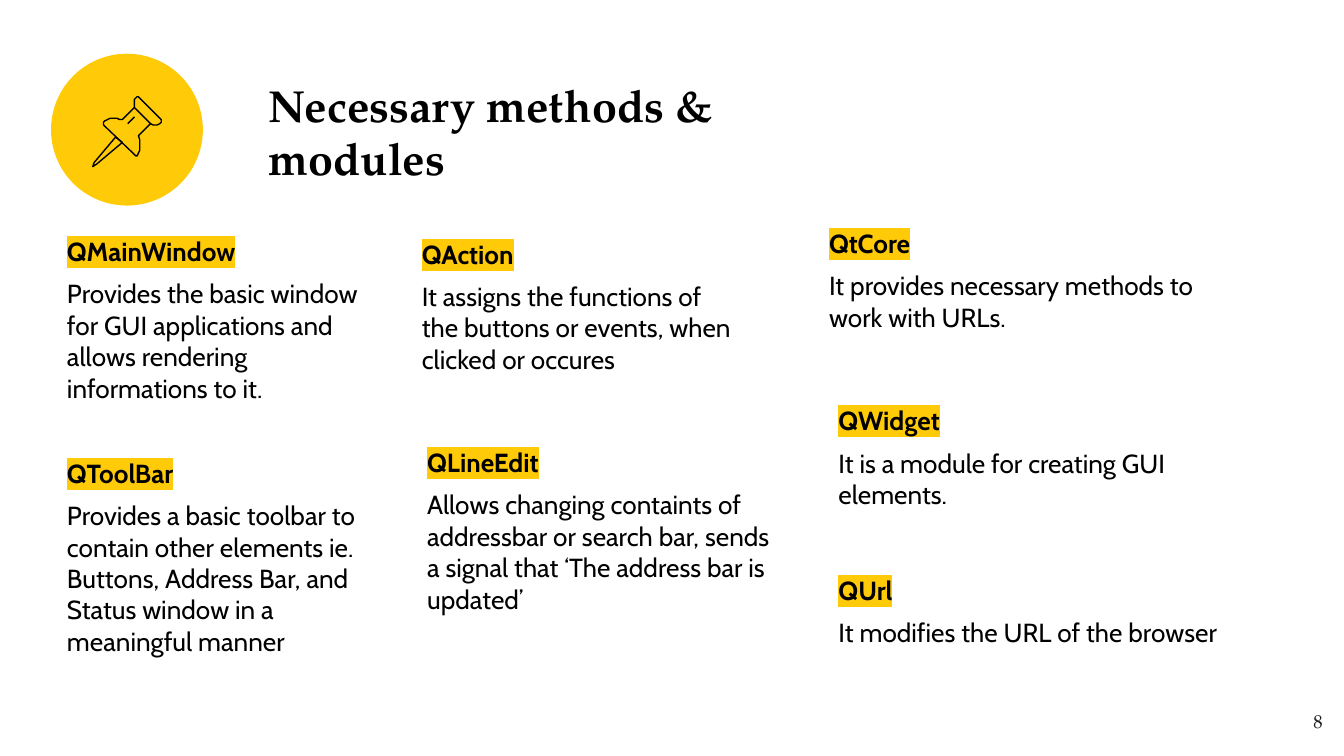
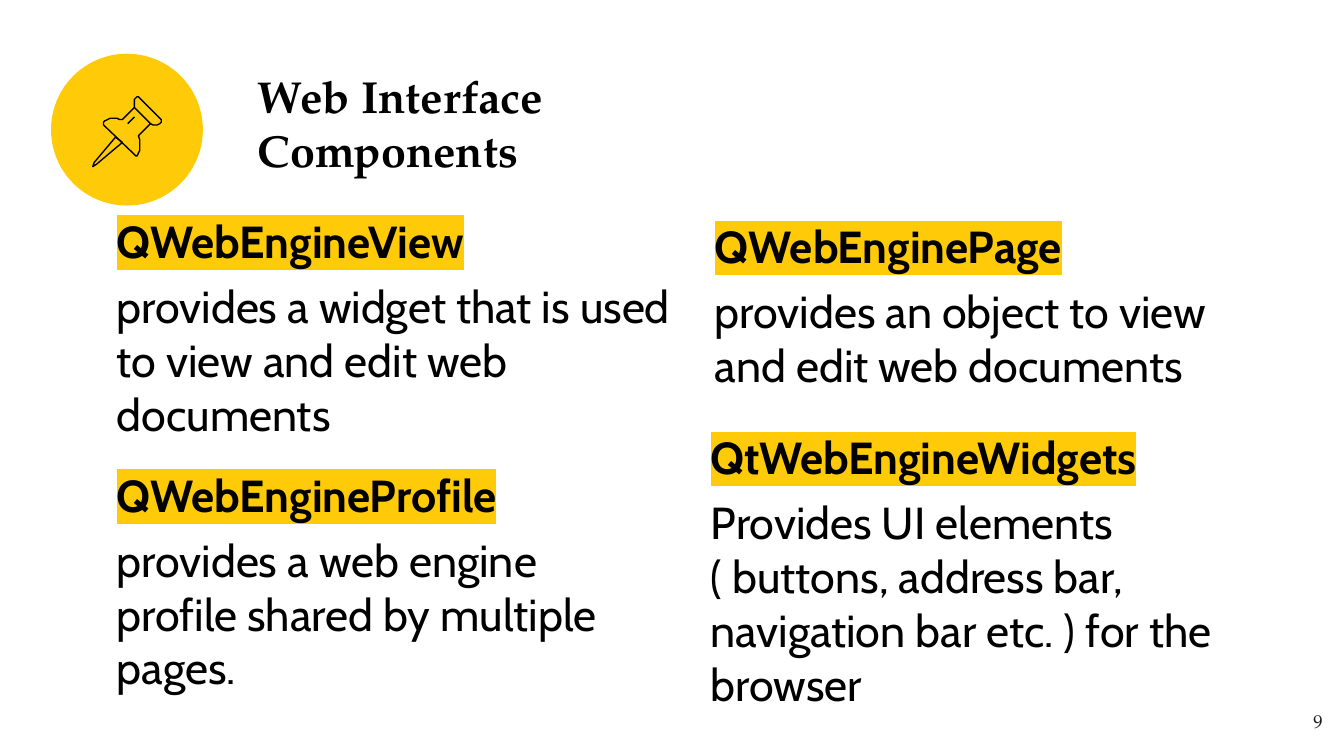
from lxml.etree import SubElement
from pptx import Presentation
from pptx.dml.color import RGBColor
from pptx.enum.shapes import MSO_CONNECTOR, MSO_SHAPE
from pptx.enum.text import MSO_ANCHOR, PP_ALIGN
from pptx.oxml.ns import qn
from pptx.util import Inches, Pt

COLORS = {"accent": "FFCA08", "text": "000000", "number": "1D1D1B"}
TITLE_FONT = "TeX Gyre Pagella"
BODY_FONT = "Cabin"
PIN_LINE = Pt(0.75)

NEEDLE = [(0.86, 1.02), (0.7, 1.21), (0.69, 1.24), (0.72, 1.22), (0.91, 1.06)]
HEAD = [(1, 0.8), (1.12, 0.92), (1.14, 0.93), (1.17, 0.93), (1.19, 0.92),
        (1.2, 0.91), (1.2, 0.89), (1.04, 0.73), (1.03, 0.72), (1.02, 0.72),
        (1.01, 0.73), (1, 0.74), (1, 0.77)]
BODY = [(1, 0.8), (0.91, 0.89), (0.89, 0.89), (0.87, 0.88), (0.82, 0.88),
        (0.8, 0.89), (0.78, 0.9), (0.77, 0.91), (0.77, 0.93), (1, 1.15),
        (1.01, 1.16), (1.02, 1.16), (1.03, 1.14), (1.04, 1.12), (1.04, 1.04),
        (1.03, 1.01), (1.12, 0.92)]
PIN_OUTLINES = [(NEEDLE, True), (HEAD, True), (BODY, False)]

SLIDES = [
    {
        "number": 8,
        "title": "Necessary methods & modules",
        "title_at": (1.9, 0.46),
        "size": 14,
        "entries": [
            ((0.4, 1.65, 2.55, 1.49), "QMainWindow",
             "Provides the basic window for GUI applications and allows rendering informations to it."),
            ((6.14, 2.91, 2.87, 1.12), "QWidget",
             "It is a module for creating GUI elements."),
            ((0.4, 3.3, 2.55, 1.79), "QToolBar",
             "Provides a basic toolbar to contain other elements ie. Buttons, Address Bar, "
             "and Status window in a meaningful manner"),
            ((3.08, 3.22, 2.87, 1.66), "QLineEdit",
             "Allows changing containts of addressbar or search bar, sends a signal that "
             "‘The address bar is updated’"),
            ((3.04, 1.67, 2.55, 1.32), "QAction",
             "It assigns the functions of the buttons or events, when clicked or occures"),
            ((6.14, 4.17, 3.81, 0.92), "QUrl",
             "It modifies the URL of the browser"),
            ((6.07, 1.59, 3.22, 1.11), "QtCore",
             "It provides necessary methods to work with URLs."),
        ],
    },
    {
        "number": 9,
        "title": "Web Interface Components",
        "title_at": (1.82, 0.4),
        "size": 24,
        "entries": [
            ((0.77, 1.49, 4.35, 1.81), "QWebEngineView",
             "provides a widget that is used to view and edit web documents"),
            ((0.77, 3.38, 3.82, 1.81), "QWebEngineProfile",
             "provides a web engine profile shared by multiple pages."),
            ((5.19, 3.1, 4.35, 1.81), "QtWebEngineWidgets",
             "Provides UI elements ( buttons, address bar, navigation bar etc. ) for the browser"),
            ((5.22, 1.53, 4.19, 1.55), "QWebEnginePage",
             "provides an object to view and edit web documents"),
        ],
    },
]


def add_text(page, area, text, size, font, color="text", bold=False):
    box = page.shapes.add_textbox(*map(Inches, area))
    frame = box.text_frame
    frame.word_wrap = True
    frame.margin_left = frame.margin_right = Inches(0.1)
    frame.margin_top = frame.margin_bottom = Inches(0.1)
    frame.text = text
    for paragraph in frame.paragraphs:
        span = paragraph.runs[0]
        span.font.name = font
        span.font.size = Pt(size)
        span.font.bold = bold
        span.font.color.rgb = RGBColor.from_string(COLORS[color])
    return frame


def add_pin(page):
    circle = page.shapes.add_shape(
        MSO_SHAPE.OVAL, Inches(0.38), Inches(0.4), Inches(1.13), Inches(1.13))
    circle.shadow.inherit = False
    circle.fill.solid()
    circle.fill.fore_color.rgb = RGBColor.from_string(COLORS["accent"])
    circle.line.fill.background()

    pin = page.shapes.add_group_shape()
    for points, closed in PIN_OUTLINES:
        corners = [(Inches(x), Inches(y)) for x, y in points]
        builder = pin.shapes.build_freeform(*corners[0])
        builder.add_line_segments(corners[1:], close=closed)
        outline = builder.convert_to_shape()
        outline.shadow.inherit = False
        outline.fill.background()
        outline.line.color.rgb = RGBColor.from_string(COLORS["text"])
        outline.line.width = PIN_LINE
    glint = pin.shapes.add_connector(
        MSO_CONNECTOR.STRAIGHT, Inches(0.95), Inches(0.92), Inches(1), Inches(0.87))
    glint.line.color.rgb = RGBColor.from_string(COLORS["text"])
    glint.line.width = PIN_LINE
    SubElement(glint._element.spPr, qn("a:effectLst"))


deck = Presentation()
deck.slide_width = Inches(10)
deck.slide_height = deck.slide_width * 9 // 16

for content in SLIDES:
    page = deck.slides.add_slide(deck.slide_layouts[6])
    add_pin(page)

    number = add_text(page, (9.34, 5.2, 0.6, 0.43), str(content["number"]),
                      10, TITLE_FONT, "number")
    number.paragraphs[0].alignment = PP_ALIGN.RIGHT

    title = add_text(page, (*content["title_at"], 3.54, 1.03), content["title"],
                     24, TITLE_FONT, bold=True)
    title.vertical_anchor = MSO_ANCHOR.MIDDLE

    for area, name, description in content["entries"]:
        entry = add_text(page, area, f"{name}\n{description}", content["size"], BODY_FONT)
        for paragraph in entry.paragraphs:
            paragraph.space_before = Pt(6)
        heading = entry.paragraphs[0].runs[0]
        heading.font.bold = True
        properties = heading.font._element
        highlight = SubElement(properties, qn("a:highlight"))
        SubElement(highlight, qn("a:srgbClr"), val=COLORS["accent"])
        properties.find(qn("a:solidFill")).addnext(highlight)

deck.save("out.pptx")
